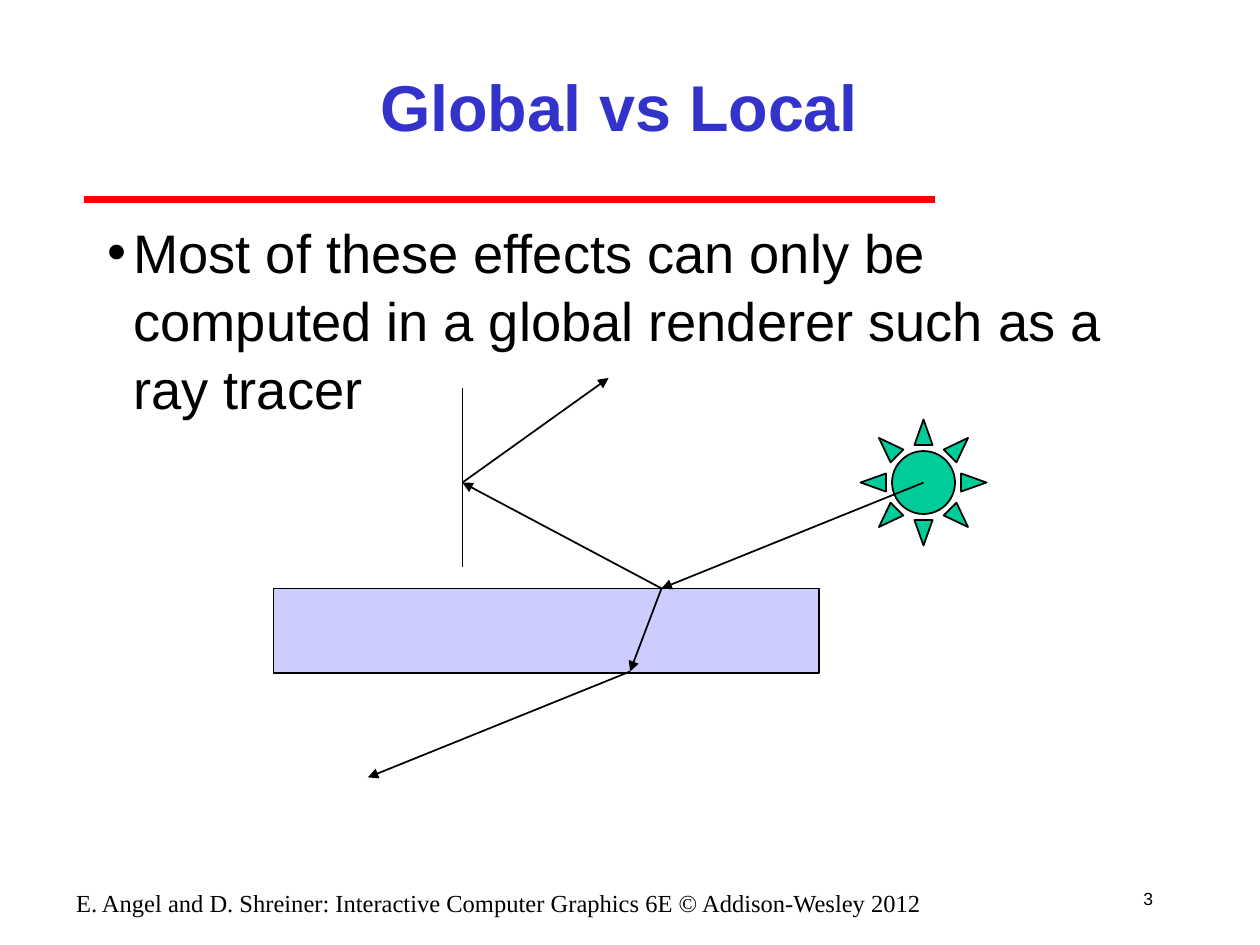
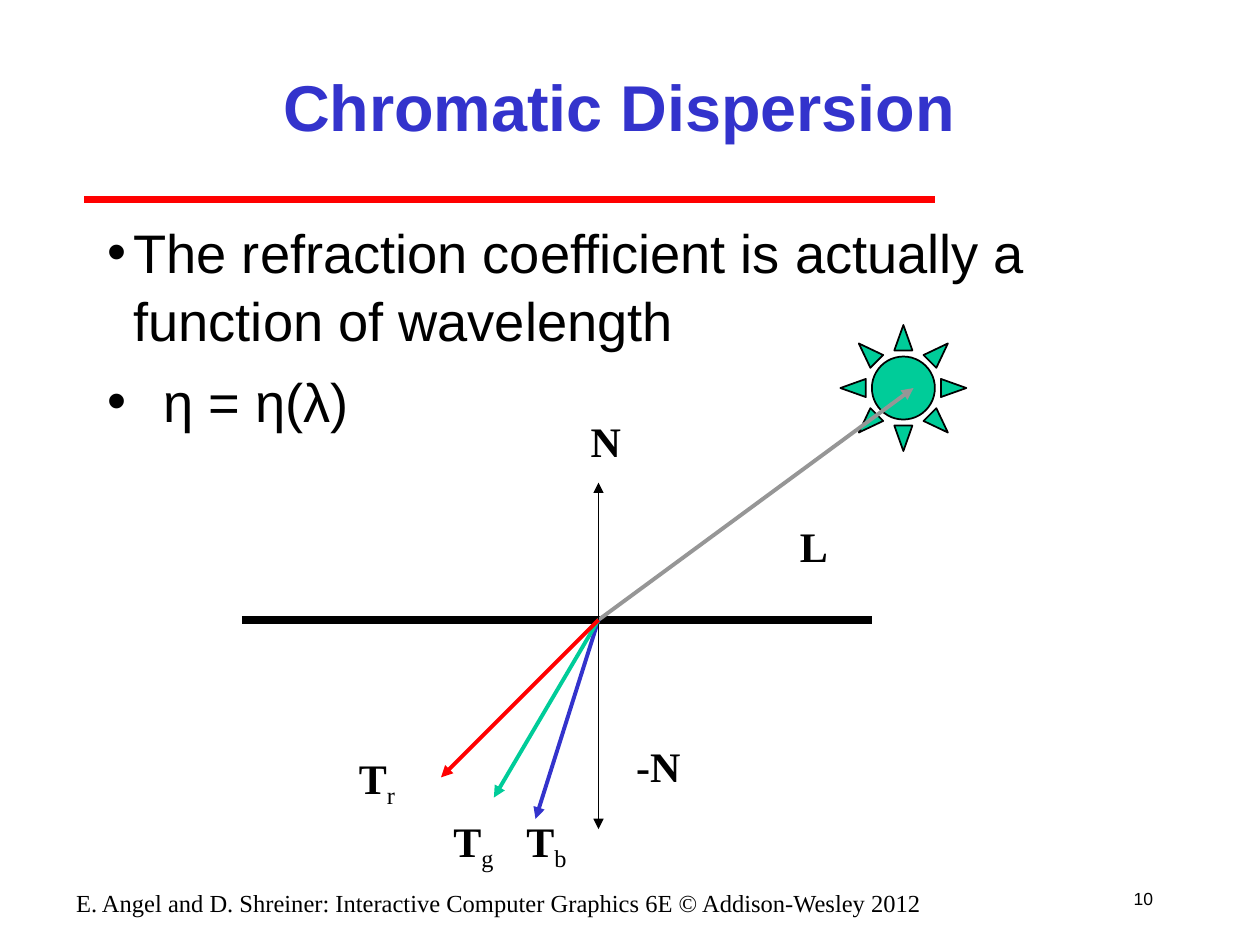
from pptx import Presentation
from pptx.dml.color import RGBColor
from pptx.enum.shapes import MSO_CONNECTOR, MSO_SHAPE
from pptx.enum.text import MSO_ANCHOR, MSO_AUTO_SIZE, PP_ALIGN
from pptx.oxml.ns import qn
from pptx.util import Inches, Pt
from lxml.etree import SubElement

BLACK = RGBColor(0x00, 0x00, 0x00)
RED = RGBColor(0xFF, 0x00, 0x00)
BLUE = RGBColor(0x33, 0x33, 0xCC)
GREEN = RGBColor(0x00, 0xCC, 0x99)
GRAY = RGBColor(0x96, 0x96, 0x96)
LAVENDER = RGBColor(0xCC, 0xCC, 0xFF)

SANS = "Arial"
SERIF = "Times New Roman"
CREDIT = ("E. Angel and D. Shreiner: Interactive Computer Graphics 6E "
          "© Addison-Wesley 2012")
BULLET_INDENT = 0.21
FORMULA_INDENT = 0.45
RAY_WIDTH = 2.25


def place(shape, left, top, width, height):
    shape.left, shape.top = Inches(left), Inches(top)
    shape.width, shape.height = Inches(width), Inches(height)


def add_run(paragraph, text, size, font=SANS, color=BLACK, bold=False):
    run = paragraph.add_run()
    run.text = text
    run.font.name = font
    run.font.size = Pt(size)
    run.font.bold = bold
    run.font.color.rgb = color
    return run


def add_line(slide, start, end, color=BLACK, width=1.0, head=False, tail=False):
    """Draw a line; head puts an arrowhead at start, tail one at end."""
    line = slide.shapes.add_connector(
        MSO_CONNECTOR.STRAIGHT, *(Inches(value) for value in (*start, *end)))
    line.line.color.rgb = color
    line.line.width = Pt(width)
    outline = line.line._get_or_add_ln()
    for tag, wanted in (("a:headEnd", head), ("a:tailEnd", tail)):
        if wanted:
            SubElement(outline, qn(tag), type="triangle")
    SubElement(line._element.spPr, qn("a:effectLst"))


def add_filled_shape(slide, kind, box, fill):
    shape = slide.shapes.add_shape(kind, *(Inches(value) for value in box))
    shape.shadow.inherit = False
    shape.fill.solid()
    shape.fill.fore_color.rgb = fill
    shape.line.color.rgb = BLACK
    shape.line.width = Pt(1)


def add_sun(slide, left, top):
    add_filled_shape(slide, MSO_SHAPE.SUN, (left, top, 1, 1), GREEN)


def add_text_line(slide, box, align=PP_ALIGN.LEFT, anchor=MSO_ANCHOR.TOP):
    """Add an unwrapped text box and return its empty paragraph."""
    frame = slide.shapes.add_textbox(
        *(Inches(value) for value in box)).text_frame
    frame.word_wrap = False
    frame.vertical_anchor = anchor
    paragraph = frame.paragraphs[0]
    paragraph.alignment = align
    return paragraph


def add_vector_label(slide, box, symbol, subscript=None):
    paragraph = add_text_line(slide, box)
    add_run(paragraph, symbol, 24, SERIF, bold=True)
    if subscript:
        lowered = add_run(paragraph, subscript, 24, SERIF)
        lowered.font._element.set("baseline", "-25000")


def fill_title(slide, text):
    title = slide.shapes.title
    place(title, 1.5, 0.25, 6.83, 1.17)
    frame = title.text_frame
    frame.auto_size = MSO_AUTO_SIZE.NONE
    frame.vertical_anchor = MSO_ANCHOR.MIDDLE
    paragraph = frame.paragraphs[0]
    paragraph.alignment = PP_ALIGN.CENTER
    add_run(paragraph, text, 37, color=BLUE, bold=True)


def fill_bullets(slide, height, bullets):
    """Fill the body with (text, hanging indent) bullets."""
    body = slide.placeholders[1]
    place(body, 0.75, 1.67, 8.5, height)
    frame = body.text_frame
    frame.auto_size = MSO_AUTO_SIZE.NONE
    for index, (text, indent) in enumerate(bullets):
        paragraph = frame.add_paragraph() if index else frame.paragraphs[0]
        properties = paragraph._p.get_or_add_pPr()
        properties.set("marL", str(Inches(indent)))
        properties.set("indent", str(-Inches(indent)))
        paragraph.line_spacing = 1.04
        paragraph.space_before = Pt(7.7 if index else 0)
        add_run(paragraph, text, 31)


def start_slide(deck, title, number, body_height, bullets):
    slide = deck.slides.add_slide(deck.slide_layouts[1])
    add_line(slide, (0.67, 1.58), (7.42, 1.58), RED, 4)
    page = add_text_line(slide, (8.83, 6.92, 0.42, 0.42),
                         PP_ALIGN.RIGHT, MSO_ANCHOR.MIDDLE)
    add_run(page, str(number), 10)
    credit = add_text_line(slide, (0.5, 7, 6.92, 0.25), PP_ALIGN.CENTER)
    add_run(credit, CREDIT, 14, SERIF)
    fill_title(slide, title)
    fill_bullets(slide, body_height, bullets)
    return slide


def build_global_vs_local(deck):
    slide = start_slide(deck, "Global vs Local", 3, 1.83, [
        ("Most of these effects can only be computed in a global renderer "
         "such as a ray tracer", BULLET_INDENT)])
    add_sun(slide, 6.83, 3.33)
    add_filled_shape(slide, MSO_SHAPE.RECTANGLE, (2.17, 4.67, 4.33, 0.67),
                     LAVENDER)
    add_line(slide, (3.67, 4.5), (3.67, 3.08))

    light, entry, leaving = (7.33, 3.83), (5.25, 4.67), (5, 5.33)
    mirror_hit = (3.67, 3.83)
    refracted = (light, entry, leaving, (2.92, 6.17))
    reflected = (entry, mirror_hit, (4.83, 3))
    for route in (refracted, reflected):
        for start, end in zip(route, route[1:]):
            add_line(slide, start, end, tail=True)


def build_chromatic_dispersion(deck):
    slide = start_slide(deck, "Chromatic Dispersion", 10, 5.17, [
        ("The refraction coefficient is actually a function of wavelength",
         BULLET_INDENT),
        ("η = η(λ)", FORMULA_INDENT)])
    hit = (4.75, 4.92)
    add_line(slide, (1.92, 4.92), (6.92, 4.92), width=4.5)
    add_sun(slide, 6.67, 2.58)
    add_line(slide, (7.25, 3.08), hit, GRAY, RAY_WIDTH, head=True)
    add_line(slide, hit, (4.25, 6.5), BLUE, RAY_WIDTH, tail=True)
    add_line(slide, (4.75, 6.58), (4.75, 3.83), head=True, tail=True)
    add_line(slide, hit, (3.92, 6.33), GREEN, RAY_WIDTH, tail=True)
    add_line(slide, hit, (3.5, 6.17), RED, RAY_WIDTH, tail=True)

    add_vector_label(slide, (4.59, 3.25, 0.44, 0.5), "N")
    add_vector_label(slide, (4.95, 5.83, 0.55, 0.5), "-N")
    add_vector_label(slide, (6.25, 4.08, 0.42, 0.5), "L")
    for left, top, wavelength in ((4.08, 6.42, "b"), (3.5, 6.42, "g"),
                                  (2.75, 5.92, "r")):
        add_vector_label(slide, (left, top, 0.58, 0.56), "T", wavelength)


def main():
    deck = Presentation()
    deck.slide_width, deck.slide_height = Inches(10), Inches(7.5)
    build_global_vs_local(deck)
    build_chromatic_dispersion(deck)
    deck.save("out.pptx")


if __name__ == "__main__":
    main()
